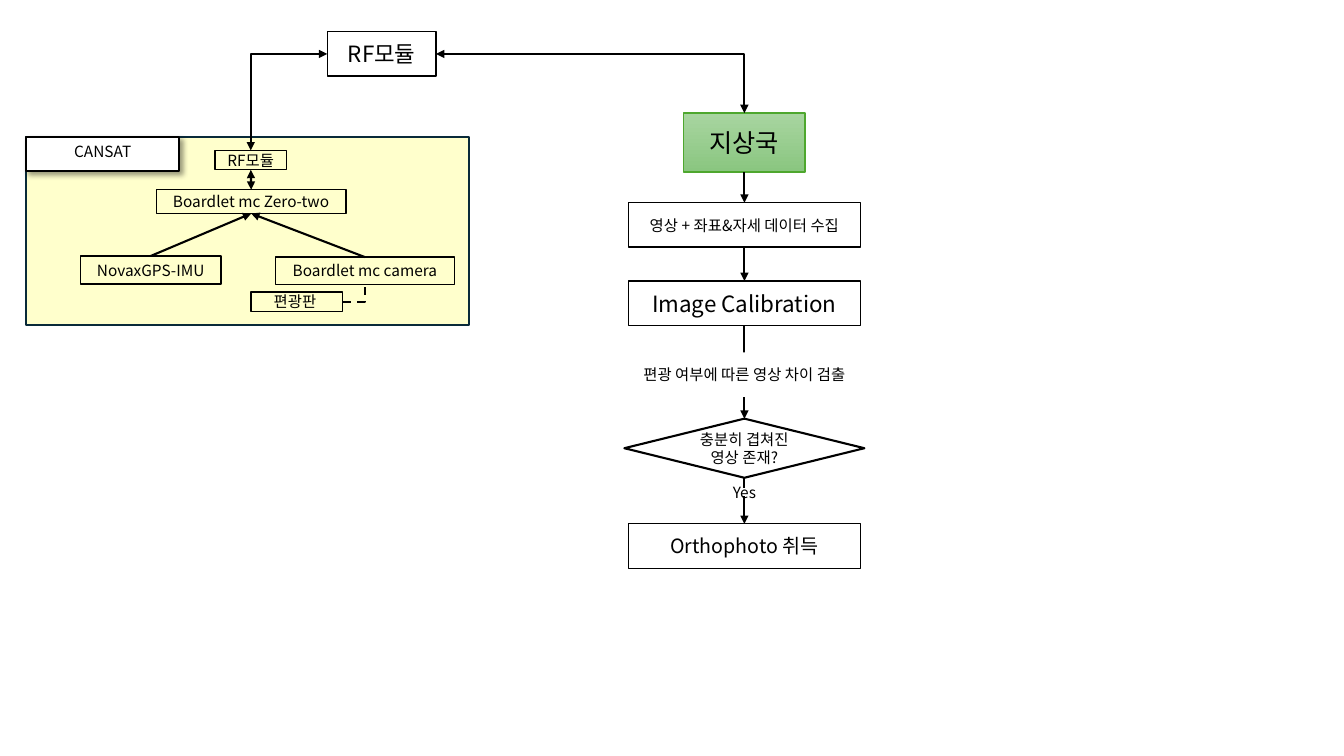
from dataclasses import dataclass

from lxml.etree import SubElement
from pptx import Presentation
from pptx.dml.color import RGBColor
from pptx.enum.dml import MSO_LINE
from pptx.enum.shapes import MSO_CONNECTOR, MSO_SHAPE
from pptx.enum.text import MSO_ANCHOR, PP_ALIGN
from pptx.oxml.ns import qn
from pptx.shapes.autoshape import Shape
from pptx.slide import Slide
from pptx.util import Cm, Pt

FONT = "Noto Sans CJK KR"
COLORS = {
    "black": "000000",
    "white": "FFFFFF",
    "panel": "FFFFCC",
    "panel_line": "092A39",
    "station_top": "A8D5A0",
    "station_bottom": "8AC680",
    "station_line": "4EA72E",
}
TOP, LEFT, BOTTOM, RIGHT = range(4)  # connection sites of a rectangle
STATION_CENTER = 18.76
STEP_WIDTH, STEP_HEIGHT = 5.84, 1.12


@dataclass
class Box:
    """A node; left, top, width and height are in centimetres."""
    key: str
    text: str
    left: float
    top: float
    width: float
    height: float
    size: int = 11
    fill: str | None = None
    line: str | None = "black"
    line_width: float = 1
    preset: MSO_SHAPE = MSO_SHAPE.RECTANGLE
    anchor: MSO_ANCHOR = MSO_ANCHOR.MIDDLE


@dataclass
class Link:
    start: str
    start_site: int
    end: str
    end_site: int
    heads: tuple[str, ...] = ("tailEnd",)
    bent: bool = False
    dashed: bool = False


def station_box(key: str, text: str, top: float, width: float = STEP_WIDTH,
                height: float = STEP_HEIGHT, **style) -> Box:
    """A box centred on the ground station column."""
    return Box(key, text, STATION_CENTER - width / 2, top, width, height, **style)


BOTH = ("headEnd", "tailEnd")
BOXES = [
    station_box("station", "지상국", 2.85, 3.06, 1.49, size=18, line="station_line"),
    Box("rf", "RF모듈", 8.25, 0.8, 2.74, 1.12, size=16),
    Box("panel", "", 0.66, 3.45, 11.17, 4.75, fill="panel", line="panel_line", line_width=1.5),
    Box("cansat", "CANSAT", 0.66, 3.45, 3.86, 0.86, fill="white", line_width=1.5,
        anchor=MSO_ANCHOR.TOP),
    Box("cansat_rf", "RF모듈", 5.42, 3.79, 1.8, 0.49),
    Box("computer", "Boardlet mc Zero-two", 3.94, 4.78, 4.78, 0.6),
    Box("imu", "NovaxGPS-IMU", 2.03, 6.45, 3.54, 0.71),
    Box("camera", "Boardlet mc camera", 6.95, 6.48, 4.5, 0.69),
    Box("polarizer", "편광판 ", 6.33, 7.36, 2.3, 0.49),
    station_box("collect", "영상 + 좌표&자세 데이터 수집", 5.11),
    station_box("calibrate", "Image Calibration", 7.08, size=16),
    station_box("decision", "충분히 겹쳐진 영상 존재?", 10.55, 6.05, 1.49,
                line_width=1.5, preset=MSO_SHAPE.FLOWCHART_DECISION),
    station_box("orthophoto", "Orthophoto 취득", 13.2, size=14),
]
LINKS = [
    Link("rf", LEFT, "cansat_rf", TOP, BOTH, bent=True),
    Link("rf", RIGHT, "station", TOP, BOTH, bent=True),
    Link("cansat_rf", BOTTOM, "computer", TOP, BOTH),
    Link("imu", TOP, "computer", BOTTOM),
    Link("camera", TOP, "computer", BOTTOM),
    Link("polarizer", RIGHT, "camera", BOTTOM, (), bent=True, dashed=True),
    Link("station", BOTTOM, "collect", TOP),
    Link("collect", BOTTOM, "calibrate", TOP),
    Link("calibrate", BOTTOM, "decision", TOP),
    Link("decision", BOTTOM, "orthophoto", TOP),
]
LINE_LABELS = [
    station_box("difference", "편광 여부에 따른 영상 차이 검출", 8.88, 6.2,
                fill="white", line=None),
    station_box("yes", "Yes", 12.3, 1.32, 0.2, fill="white", line=None),
]


def color(key: str) -> RGBColor:
    return RGBColor.from_string(COLORS[key])


def draw_box(slide: Slide, box: Box) -> Shape:
    shape = slide.shapes.add_shape(
        box.preset, Cm(box.left), Cm(box.top), Cm(box.width), Cm(box.height))
    shape.shadow.inherit = False
    if box.fill:
        shape.fill.solid()
        shape.fill.fore_color.rgb = color(box.fill)
    else:
        shape.fill.background()
    if box.line:
        shape.line.color.rgb = color(box.line)
        shape.line.width = Pt(box.line_width)
    else:
        shape.line.fill.background()
    if box.text:
        write_text(shape, box)
    return shape


def write_text(shape: Shape, box: Box) -> None:
    frame = shape.text_frame
    frame.word_wrap = True
    frame.vertical_anchor = box.anchor
    frame.margin_left = frame.margin_right = Cm(0.12)
    frame.margin_top = frame.margin_bottom = Cm(0.12 if box.anchor == MSO_ANCHOR.TOP else 0)
    paragraph = frame.paragraphs[0]
    paragraph.alignment = PP_ALIGN.CENTER
    run = paragraph.add_run()
    run.text = box.text
    paragraph.font.size = Pt(box.size)
    paragraph.font.name = FONT
    paragraph.font.color.rgb = color("black")
    SubElement(run.font._element, qn("a:ea"), typeface=FONT)


def shade_station(shape: Shape) -> None:
    shape.fill.gradient()
    shape.fill.gradient_angle = 270
    for stop, key in zip(shape.fill.gradient_stops, ("station_top", "station_bottom")):
        stop.color.rgb = color(key)


def cast_shadow(shape: Shape) -> None:
    effects = shape.element.spPr.find(qn("a:effectLst"))
    shadow = SubElement(effects, qn("a:outerShdw"), blurRad=str(Pt(4)), dist=str(Pt(3)),
                        dir=str(45 * 60000), algn="tl", rotWithShape="0")
    tint = SubElement(shadow, qn("a:srgbClr"), val=COLORS["black"])
    SubElement(tint, qn("a:alpha"), val="40000")


def draw_link(slide: Slide, link: Link, shapes: dict[str, Shape]) -> None:
    """Join two boxes; a bent link leaves sideways and turns once."""
    kind = MSO_CONNECTOR.ELBOW if link.bent else MSO_CONNECTOR.STRAIGHT
    connector = slide.shapes.add_connector(kind, 0, 0, 0, 0)
    connector.begin_connect(shapes[link.start], link.start_site)
    connector.end_connect(shapes[link.end], link.end_site)
    connector.line.color.rgb = color("black")
    connector.line.width = Pt(1.5)
    if link.dashed:
        connector.line.dash_style = MSO_LINE.DASH
    properties = connector.element.spPr
    if link.bent:
        properties.find(qn("a:prstGeom")).set("prst", "bentConnector2")
    for head in link.heads:
        SubElement(properties.find(qn("a:ln")), qn(f"a:{head}"), type="triangle")
    SubElement(properties, qn("a:effectLst"))


def main() -> None:
    presentation = Presentation()
    presentation.slide_width, presentation.slide_height = Cm(33.87), Cm(19.05)
    slide = presentation.slides.add_slide(presentation.slide_layouts[6])
    shapes = {box.key: draw_box(slide, box) for box in BOXES}
    shade_station(shapes["station"])
    cast_shadow(shapes["cansat"])
    for link in LINKS:
        draw_link(slide, link, shapes)
    for label in LINE_LABELS:
        draw_box(slide, label)
    presentation.save("out.pptx")


if __name__ == "__main__":
    main()
